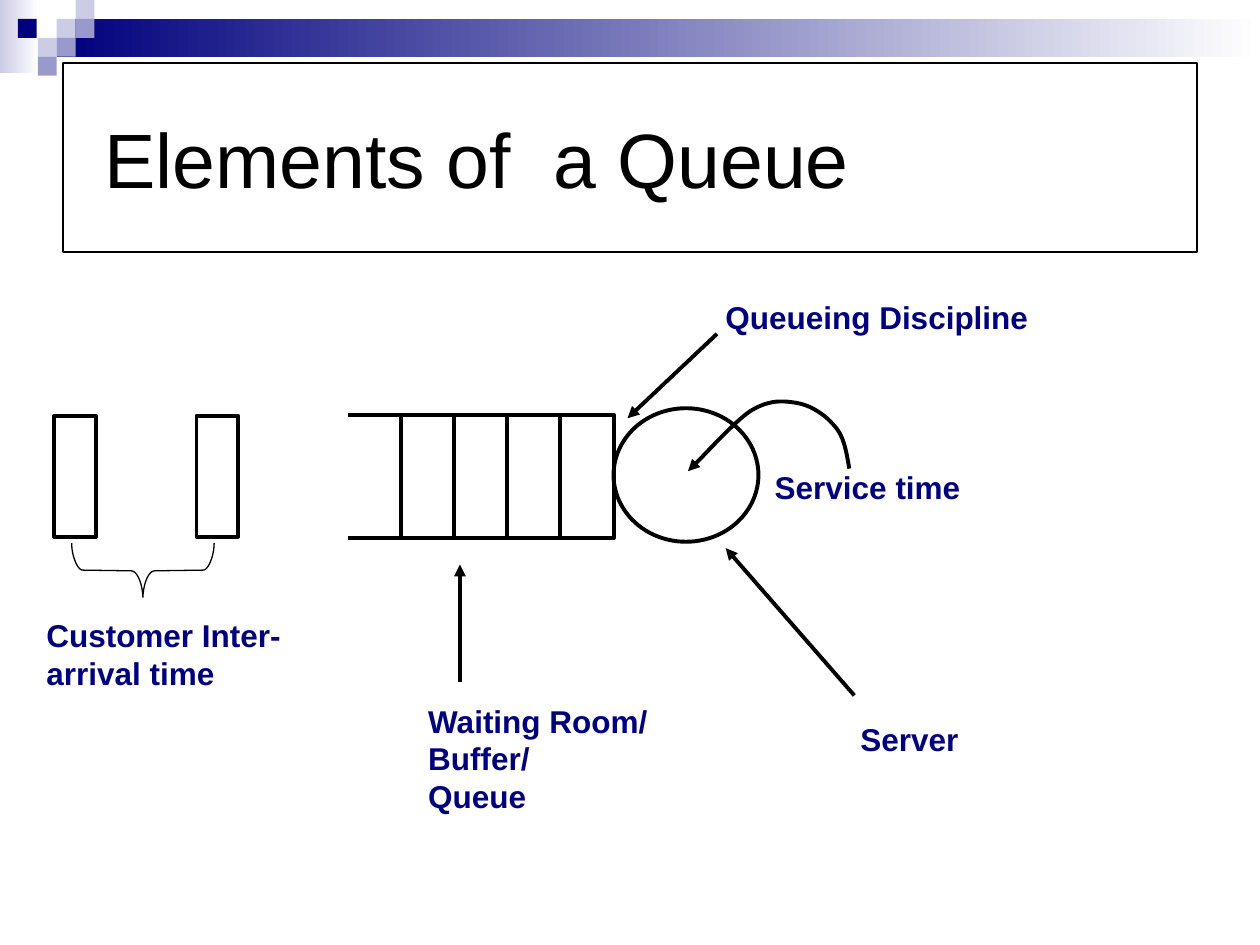
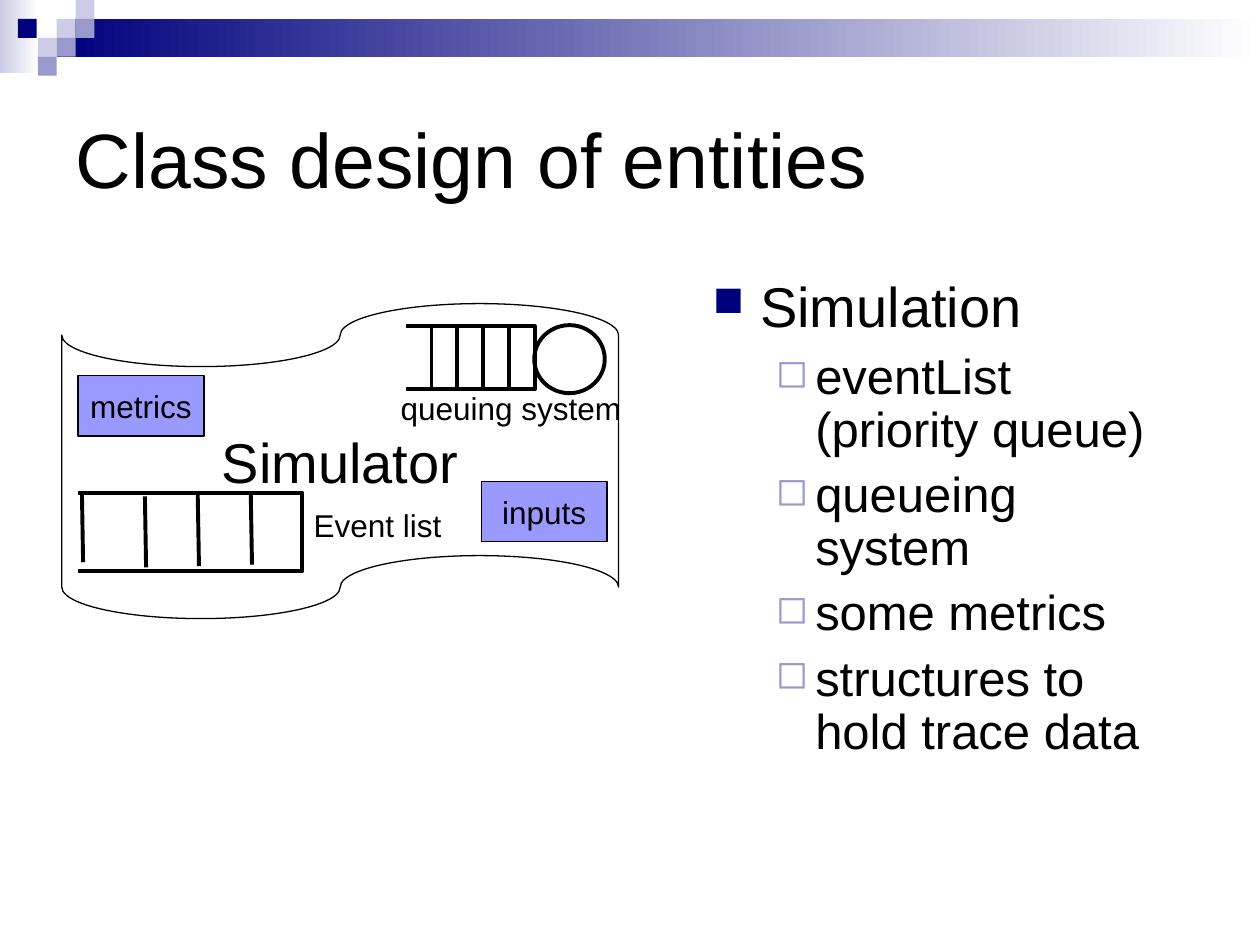
"""Build two slides on the parts of a queue and the classes that simulate it."""
from dataclasses import dataclass
from typing import Any, Optional

from lxml import etree
from pptx import Presentation
from pptx.dml.color import RGBColor
from pptx.enum import shapes as es, text as et
from pptx.oxml import ns
from pptx.util import Pt

BLACK = RGBColor(0x00, 0x00, 0x00)
WHITE = RGBColor(0xFF, 0xFF, 0xFF)
NAVY = RGBColor(0x00, 0x00, 0x7D)
LILAC = RGBColor(0x99, 0x99, 0xCC)
PALE = RGBColor(0xCC, 0xCC, 0xE6)
VIOLET = RGBColor(0x99, 0x99, 0xFF)

FONT = "Arial"
UNIT = 10.8
THIN, BOLD = 0.75, 2.25
KIND = es.MSO_SHAPE
Point = tuple[float, float]
Look = dict[str, Any]

HEAD: Look = {"size": Pt(44), "name": FONT}
NOTE: Look = {"size": Pt(18), "name": FONT, "bold": True}
PLAIN: Look = {"size": Pt(18), "name": FONT}
LARGE: Look = {"size": Pt(32), "name": FONT}
SMALL: Look = {"size": Pt(28), "name": FONT}
INSET: Look = {"margin_left": Pt(7.2), "margin_right": Pt(7.2),
               "margin_top": Pt(3.6), "margin_bottom": Pt(3.6),
               "auto_size": et.MSO_AUTO_SIZE.NONE}


@dataclass(frozen=True)
class Box:
    """A frame in points."""
    x: float
    y: float
    w: float
    h: float

    def emu(self) -> list[int]:
        """Give the frame as lengths."""
        return [Pt(v) for v in (self.x, self.y, self.w, self.h)]


@dataclass(frozen=True)
class Tile:
    """A square of the corner pattern, in grid units."""
    col: float
    row: float
    ink: RGBColor


@dataclass(frozen=True)
class Label:
    """A piece of free text."""
    text: str
    box: Box
    wrap: bool = False


@dataclass(frozen=True)
class Level:
    """The format of one bullet level."""
    mark: str
    ink: RGBColor
    scale: int
    left: float
    hang: float
    gap: float
    look: Look


FADES = [(Box(0, 0, 22.3, 41.8), PALE), (Box(32.4, 10.8, 687.6, 21.6), NAVY)]
TILES = [Tile(3, 1, PALE), Tile(4, 0, PALE), Tile(4, 1, LILAC),
         Tile(2, 2, PALE), Tile(0.94, 1, NAVY), Tile(3, 2, LILAC),
         Tile(2, 3, LILAC)]
NOTES = [
    Label("Server", Box(484.6, 408.2, 70.6, 28.8)),
    Label("Waiting Room/\nBuffer/\nQueue", Box(237.6, 397.4, 145.4, 72)),
    Label("Queueing Discipline", Box(407.5, 167, 187.2, 28.8)),
    Label("Customer Inter-arrival time", Box(19.4, 348.5, 149.8, 50.4), True),
    Label("Service time", Box(435.6, 264.2, 149.8, 28.8), True),
]
ARROWS = [((488.2, 397.4), (414.7, 313.2)), ((262.8, 389.5), (262.8, 322.6)),
          ((409.7, 190.8), (358.6, 239))]
LOOP = [(485.3, 267.8), (483.8, 259.2), (482.4, 249.8), (477.4, 244.1),
        (472.3, 237.6), (463.7, 231.8), (455.8, 230.4), (447.8, 229),
        (439.9, 228.2), (429.1, 234.7), (419, 241.2), (399.6, 263.5),
        (393.1, 269.3)]
NAMES = [Label("queuing system", Box(221.8, 218.9, 140.4, 28.8)),
         Label("Event list", Box(172.1, 285.8, 87.1, 28.8))]
PARTS = [Label("metrics", Box(44.6, 214.6, 72, 34.6)),
         Label("inputs", Box(275, 275, 72, 34.6))]
TICKS = [(46.8, 280.8), (82.8, 283.7), (113, 283), (143.3, 282.2)]
LEVELS = [Level("■", NAVY, 75, 27, -27, 8, LARGE),
          Level("◻", LILAC, 80, 58.5, -22.5, 7, SMALL)]
POINTS = [(0, "Simulation"), (1, "eventList (priority queue)"),
          (1, "queueing system"), (1, "some metrics"),
          (1, "structures to hold trace data")]


def style(item: Any, look: Look) -> None:
    """Set each named value on an object."""
    for key, val in look.items():
        setattr(item, key, val)


def sub(root: Any, tag: str, **vals: str) -> Any:
    """Add a drawing element with its values."""
    return etree.SubElement(root, ns.qn(f"a:{tag}"), vals)


def write(para: Any, words: str, look: Look, ink: RGBColor = BLACK) -> None:
    """Put one styled run in a paragraph."""
    run = para.add_run()
    run.text = words
    style(run.font, look)
    run.font.color.rgb = ink


def edge(item: Any, width: float, head: bool = False) -> None:
    """Give a shape a black line, with an arrowhead if asked."""
    item.line.color.rgb = BLACK
    item.line.width = Pt(width)
    if head:
        sub(item.line._get_or_add_ln(), "tailEnd", type="triangle")


def draw(slide: Any, kind: Any, box: Box, fill: Optional[RGBColor] = None,
         width: float = 0) -> Any:
    """Add a preset shape."""
    item = slide.shapes.add_shape(kind, *box.emu())
    item.shadow.inherit = False
    if fill is None:
        item.fill.background()
    else:
        item.fill.solid()
        item.fill.fore_color.rgb = fill
    if width:
        edge(item, width)
    else:
        item.line.fill.background()
    return item


def link(slide: Any, start: Point, end: Point, head: bool = False) -> None:
    """Add a straight thick line."""
    item = slide.shapes.add_connector(
        es.MSO_CONNECTOR.STRAIGHT, *[Pt(v) for v in (*start, *end)])
    edge(item, BOLD, head)
    sub(item._element.spPr, "effectLst")


def trace(slide: Any, path: list[Point], width: float,
          head: bool = False) -> None:
    """Add an open outline through the points."""
    spots = [(Pt(x), Pt(y)) for x, y in path]
    form = slide.shapes.build_freeform(*spots[0])
    form.add_line_segments(spots[1:], close=False)
    item = form.convert_to_shape()
    item.shadow.inherit = False
    item.fill.background()
    edge(item, width, head)


def bend(knots: list[Point], steps: int = 12) -> list[Point]:
    """Sample a chain of cubic curves."""
    path = [knots[0]]
    for i in range(0, len(knots) - 1, 3):
        for n in range(1, steps + 1):
            t = n / steps
            rates = ((1 - t) ** 3, 3 * t * (1 - t) ** 2,
                     3 * t * t * (1 - t), t ** 3)
            path.append(tuple(sum(r * k[axis] for r, k in
                                  zip(rates, knots[i:i + 4]))
                              for axis in (0, 1)))
    return path


def tray(slide: Any, box: Box) -> None:
    """Draw a box that is open on the left."""
    right, base = box.x + box.w, box.y + box.h
    trace(slide, [(box.x, box.y), (right, box.y), (right, base),
                  (box.x, base)], BOLD)


def queue(slide: Any, box: Box, disc: Box, cells: int = 5) -> None:
    """Draw a queue of equal cells and its server."""
    draw(slide, KIND.OVAL, disc, width=BOLD)
    tray(slide, box)
    for n in range(1, cells):
        x = box.x + box.w * n / cells
        link(slide, (x, box.y), (x, box.y + box.h))


def label(slide: Any, item: Label, look: Look, ink: RGBColor) -> None:
    """Add free text, one paragraph a line."""
    frame = slide.shapes.add_textbox(*item.box.emu()).text_frame
    style(frame, {**INSET, "word_wrap": item.wrap})
    for n, words in enumerate(item.text.split("\n")):
        para = frame.add_paragraph() if n else frame.paragraphs[0]
        write(para, words, look, ink)


def fill_in(item: Any, words: str, look: Look) -> None:
    """Centre text in a shape."""
    frame = item.text_frame
    style(frame, {**INSET, "word_wrap": False,
                  "vertical_anchor": et.MSO_ANCHOR.MIDDLE})
    frame.paragraphs[0].alignment = et.PP_ALIGN.CENTER
    write(frame.paragraphs[0], words, look)


def start(deck: Any, words: str) -> Any:
    """Add a slide with its bands and title."""
    slide = deck.slides.add_slide(deck.slide_layouts.get_by_name("Title Only"))
    for box, ink in FADES:
        fill = draw(slide, KIND.RECTANGLE, box).fill
        fill.gradient()
        fill.gradient_angle = 0
        for stop, tint in zip(fill.gradient_stops, (ink, WHITE)):
            stop.color.rgb = tint
    for tile in TILES:
        box = Box(tile.col * UNIT, tile.row * UNIT, UNIT, UNIT)
        draw(slide, KIND.RECTANGLE, box, tile.ink)
    title = slide.shapes.title
    style(title, dict(zip(("left", "top", "width", "height"),
                          Box(36, 36, 648, 108).emu())))
    style(title.text_frame, {**INSET, "word_wrap": True,
                             "vertical_anchor": et.MSO_ANCHOR.MIDDLE})
    para = title.text_frame.paragraphs[0]
    para.alignment = et.PP_ALIGN.LEFT
    write(para, words, HEAD)
    return slide


def indent(para: Any, left: float, hang: float) -> Any:
    """Set the indents of a paragraph and return its properties."""
    props = para._p.get_or_add_pPr()
    props.set("marL", str(int(Pt(left))))
    props.set("indent", str(int(Pt(hang))))
    return props


def bullets(slide: Any, box: Box) -> None:
    """Add the bullet list."""
    frame = slide.shapes.add_textbox(*box.emu()).text_frame
    style(frame, {**INSET, "word_wrap": True})
    for n, (depth, words) in enumerate(POINTS):
        para = frame.add_paragraph() if n else frame.paragraphs[0]
        level = LEVELS[depth]
        props = indent(para, level.left, level.hang)
        sub(sub(props, "buClr"), "srgbClr", val=str(level.ink))
        sub(props, "buSzPct", val=str(level.scale * 1000))
        sub(props, "buChar", char=level.mark)
        style(para, {"level": depth, "line_spacing": 0.9,
                     "space_before": Pt(level.gap if n else 0)})
        write(para, words, level.look)


def parts(deck: Any) -> None:
    """Build the slide on the elements of a queue."""
    slide = start(deck, "Elements of  a Queue")
    title = slide.shapes.title
    edge(title, THIN)
    indent(title.text_frame.paragraphs[0], 33.84, -17.28)
    queue(slide, Box(198.7, 236.9, 151.9, 70.6), Box(350.6, 233.3, 82.8, 76.3))
    for x in (31, 112.3):
        draw(slide, KIND.RECTANGLE, Box(x, 237.6, 23.8, 69.1), width=BOLD)
    half = (bend([(41, 310.3), (41, 318.2), (44.6, 326.2), (47.5, 325.8)])
            + bend([(74.9, 326.2), (78.5, 326.2), (81.4, 333.4), (81.7, 341.3)]))
    trace(slide, half + [(163.4 - x, y) for x, y in reversed(half)], THIN)
    for tail, tip in ARROWS:
        link(slide, tail, tip, True)
    trace(slide, bend(LOOP), BOLD, True)
    for note in NOTES:
        label(slide, note, NOTE, NAVY)


def classes(deck: Any) -> None:
    """Build the slide on the class design."""
    slide = start(deck, "Class design of entities")
    bullets(slide, Box(400.3, 156.2, 283.7, 306))
    tape = draw(slide, KIND.FLOWCHART_PUNCHED_TAPE,
                Box(35.3, 173.5, 318.2, 180), width=THIN)
    fill_in(tape, "Simulator", LARGE)
    queue(slide, Box(231.8, 186.5, 73.8, 36), Box(305.3, 185.8, 40.3, 38.9))
    tray(slide, Box(44.6, 281.5, 128.2, 45))
    for x, y in TICKS:
        link(slide, (x, y), (x + 0.7, y + 40.5))
    for name in NAMES:
        label(slide, name, PLAIN, BLACK)
    for part in PARTS:
        item = draw(slide, KIND.RECTANGLE, part.box, VIOLET, THIN)
        fill_in(item, part.text, PLAIN)


def main() -> None:
    """Build and save the deck."""
    deck = Presentation()
    style(deck, {"slide_width": Pt(720), "slide_height": Pt(540)})
    parts(deck)
    classes(deck)
    deck.save("out.pptx")


if __name__ == "__main__":
    main()
